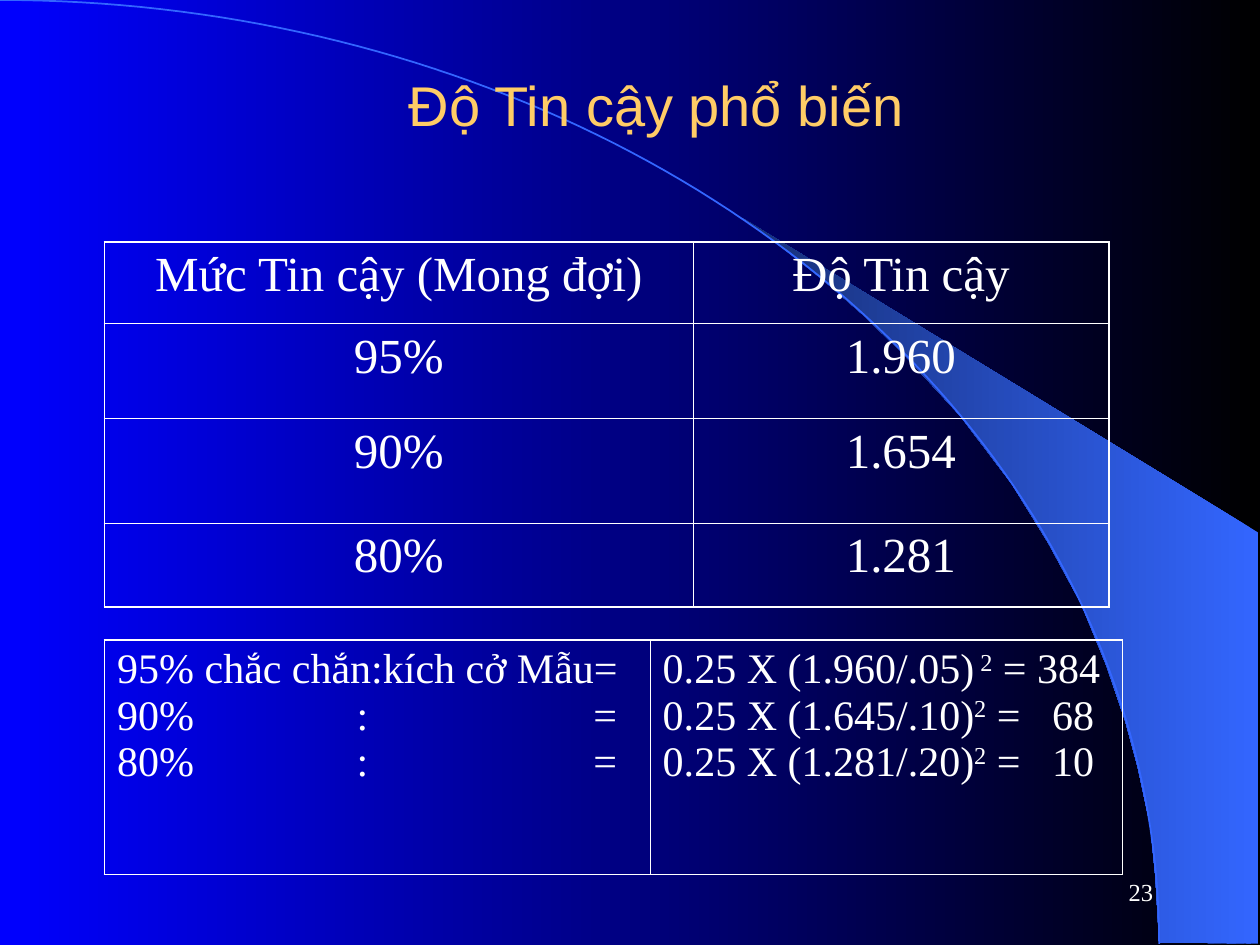
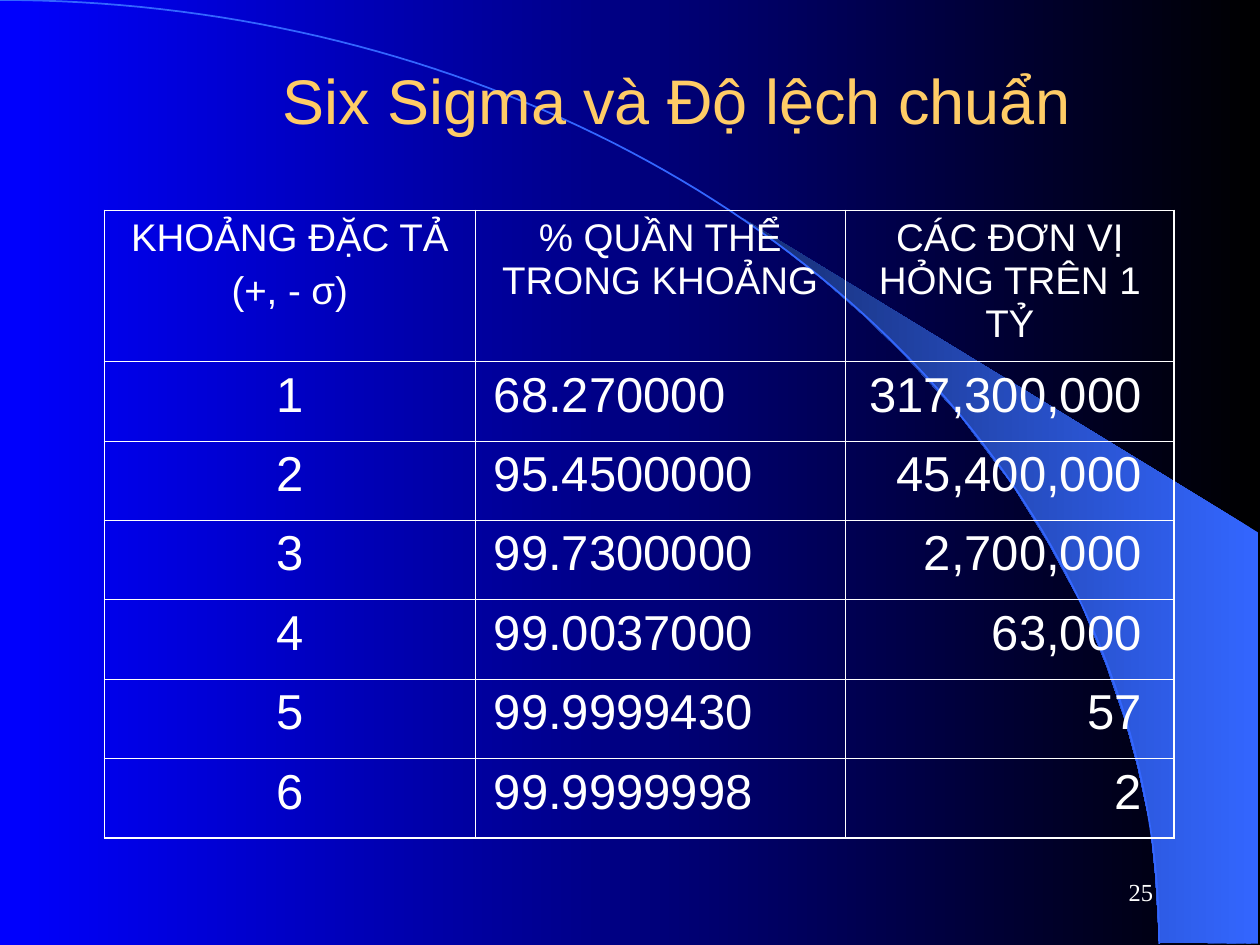
from math import cos, pi, sin

from lxml.etree import Element, SubElement
from pptx import Presentation
from pptx.dml.color import RGBColor as Rgb
from pptx.enum.text import MSO_ANCHOR as Anchor, PP_ALIGN as Align
from pptx.oxml.ns import qn
from pptx.util import Inches, Pt

WHITE, GOLD, BLUE, NAVY = "FFFFFF", "FFCC66", "3366FF", "172F75"
SANS, SERIF = "Arial", "Times New Roman"
LEFT, MID, RIGHT = Align.LEFT, Align.CENTER, Align.RIGHT
THICK, THIN = 1.08, 0.45

BAND = [
    (9.2, 7.48), (9.99, 7.49), (9.99, 4.23), (5.89, 1.73), (6.24, 1.99),
    (6.53, 2.22), (6.85, 2.5), (7.16, 2.8), (7.62, 3.3), (8.03, 3.84),
    (8.32, 4.31), (8.58, 4.79), (8.78, 5.28), (8.93, 5.72), (9.03, 6.09),
    (9.13, 6.56), (9.17, 6.96),
]
ARC = (9.2, 7.49)

CENTER = {"align": MID, "size": 28}
HEAD = {"align": MID, "size": 22, "gap": 5.5}
SUM = {"align": LEFT, "size": 24}

SLIDES = [
    {
        "title": ("Độ Tin cậy phổ biến", 32, (0.42, 0.33, 9.58, 1)),
        "page": "23",
        "grids": [
            {
                "at": (0.83, 1.92), "face": SERIF,
                "cols": [4.67, 3.3], "rows": [0.65, 0.75, 0.83, 0.67],
                "head": CENTER, "body": [CENTER, CENTER],
                "cells": [
                    ("Mức Tin cậy (Mong đợi)", "Độ Tin cậy"),
                    ("95%", "1.960"),
                    ("90%", "1.654"),
                    ("80%", "1.281"),
                ],
            },
            {
                "at": (0.83, 5.08), "face": SERIF,
                "cols": [4.33, 3.75], "rows": [1.86],
                "head": {**SUM, "tabs": [1.9, 3.78, 3.09]}, "body": [],
                "tabs": [[1.9, 3.78], [3.09]],
                "cells": [(
                    "95% chắc chắn:kích cở Mẫu=\n90%\t:\t=\n80%\t:\t=",
                    "0.25 X (1.960/.05)^ 2^ = 384\n"
                    "0.25 X (1.645/.10)^2^ =\t68\n"
                    "0.25 X (1.281/.20)^2^ =\t10",
                )],
            },
        ],
    },
    {
        "title": ("Six Sigma và Độ lệch chuẩn", 36, (1.58, 0.25, 7.58, 1.08)),
        "page": "25",
        "grids": [
            {
                "at": (0.83, 1.67), "face": SANS,
                "cols": [2.94, 2.94, 2.61], "rows": [1.2] + [0.63] * 6,
                "head": HEAD,
                "body": [
                    CENTER,
                    {"align": LEFT, "size": 28, "left": 0.15},
                    {"align": RIGHT, "size": 28, "right": 0.26},
                ],
                "cells": [
                    ("KHOẢNG ĐẶC TẢ\n(+, - σ)", "% QUẦN THỂ TRONG KHOẢNG",
                     "CÁC ĐƠN VỊ HỎNG TRÊN 1 TỶ"),
                    ("1", "68.270000", "317,300,000"),
                    ("2", "95.4500000", "45,400,000"),
                    ("3", "99.7300000", "2,700,000"),
                    ("4", "99.0037000", "63,000"),
                    ("5", "99.9999430", "57"),
                    ("6", "99.9999998", "2"),
                ],
            },
        ],
    },
]


def tint(code):
    return Rgb.from_string(code)


def put(item, **values):
    for name, value in values.items():
        setattr(item, name, value)


def blend(fill, start, end):
    fill.gradient()
    fill.gradient_angle = 180
    for stop, code, place in zip(fill.gradient_stops, (start, end), (0, 1)):
        stop.position = place
        stop.color.rgb = tint(code)


def write(frame, text, face, size, color=WHITE, align=LEFT, gap=0, tabs=()):
    for num, line in enumerate(text.split("\n")):
        para = frame.add_paragraph() if num else frame.paragraphs[0]
        para.alignment = align
        if num and gap:
            para.space_before = Pt(gap)
        if tabs:
            stops = SubElement(para._p.get_or_add_pPr(), qn("a:tabLst"))
            for tab in tabs:
                SubElement(stops, qn("a:tab"), pos=str(Inches(tab)), algn="l")
        for part, words in enumerate(line.split("^")):
            run = para.add_run()
            run.text = words
            put(run.font, name=face, size=Pt(size))
            run.font.color.rgb = tint(color)
            if part % 2:
                run._r.get_or_add_rPr().set("baseline", "30000")


def label(slide, box, text, face, size, color, align):
    frame = slide.shapes.add_textbox(*map(Inches, box)).text_frame
    put(frame, word_wrap=True, vertical_anchor=Anchor.MIDDLE)
    write(frame, text, face, size, color, align)


def trace(slide, points, close):
    pen = slide.shapes.build_freeform(*map(Inches, points[0]))
    pen.add_line_segments([tuple(map(Inches, spot)) for spot in points[1:]], close)
    shape = pen.convert_to_shape()
    shape.shadow.inherit = False
    return shape


def scene(slide):
    blend(slide.background.fill, "000000", "0000FF")
    band = trace(slide, BAND, True)
    blend(band.fill, BLUE, NAVY)
    band.line.fill.background()
    wide, high = ARC
    turns = [pi / 2 * step / 90 for step in range(91)]
    arc = trace(slide, [(wide * sin(a), high * (1 - cos(a))) for a in turns], False)
    arc.fill.background()
    arc.line.color.rgb = tint(BLUE)
    arc.line.width = Pt(1)


def edge(cell, sides):
    props = cell._tc.get_or_add_tcPr()
    for num, (side, outer) in enumerate(sides.items()):
        line = Element(qn(f"a:ln{side}"), w=str(Pt(THICK if outer else THIN)))
        fill = SubElement(line, qn("a:solidFill"))
        SubElement(fill, qn("a:srgbClr"), val=WHITE)
        props.insert(num, line)


def grid(slide, data):
    cols, rows = data["cols"], data["rows"]
    size = (*data["at"], sum(cols), sum(rows))
    table = slide.shapes.add_table(len(rows), len(cols), *map(Inches, size)).table
    put(table, first_row=False, horz_banding=False)
    for col, wide in zip(table.columns, cols):
        col.width = Inches(wide)
    for y, (row, high) in enumerate(zip(table.rows, rows)):
        row.height = Inches(high)
        for x, cell in enumerate(row.cells):
            form = dict(data["body"][x] if y else data["head"])
            if "tabs" in data:
                form["tabs"] = data["tabs"][x]
            put(cell, margin_left=Inches(form.pop("left", 0.1)),
                margin_right=Inches(form.pop("right", 0.1)))
            cell.fill.background()
            edge(cell, {"L": x == 0, "R": x == len(cols) - 1,
                        "T": y == 0, "B": y == len(rows) - 1})
            write(cell.text_frame, data["cells"][y][x], data["face"], **form)


def main():
    deck = Presentation()
    put(deck, slide_width=Inches(10), slide_height=Inches(7.5))
    for data in SLIDES:
        slide = deck.slides.add_slide(deck.slide_layouts[6])
        scene(slide)
        text, size, box = data["title"]
        label(slide, box, text, SANS, size, GOLD, MID)
        for part in data["grids"]:
            grid(slide, part)
        label(slide, (7.17, 6.83, 2.08, 0.5), data["page"], SERIF, 14, WHITE, RIGHT)
    deck.save("out.pptx")


if __name__ == "__main__":
    main()
